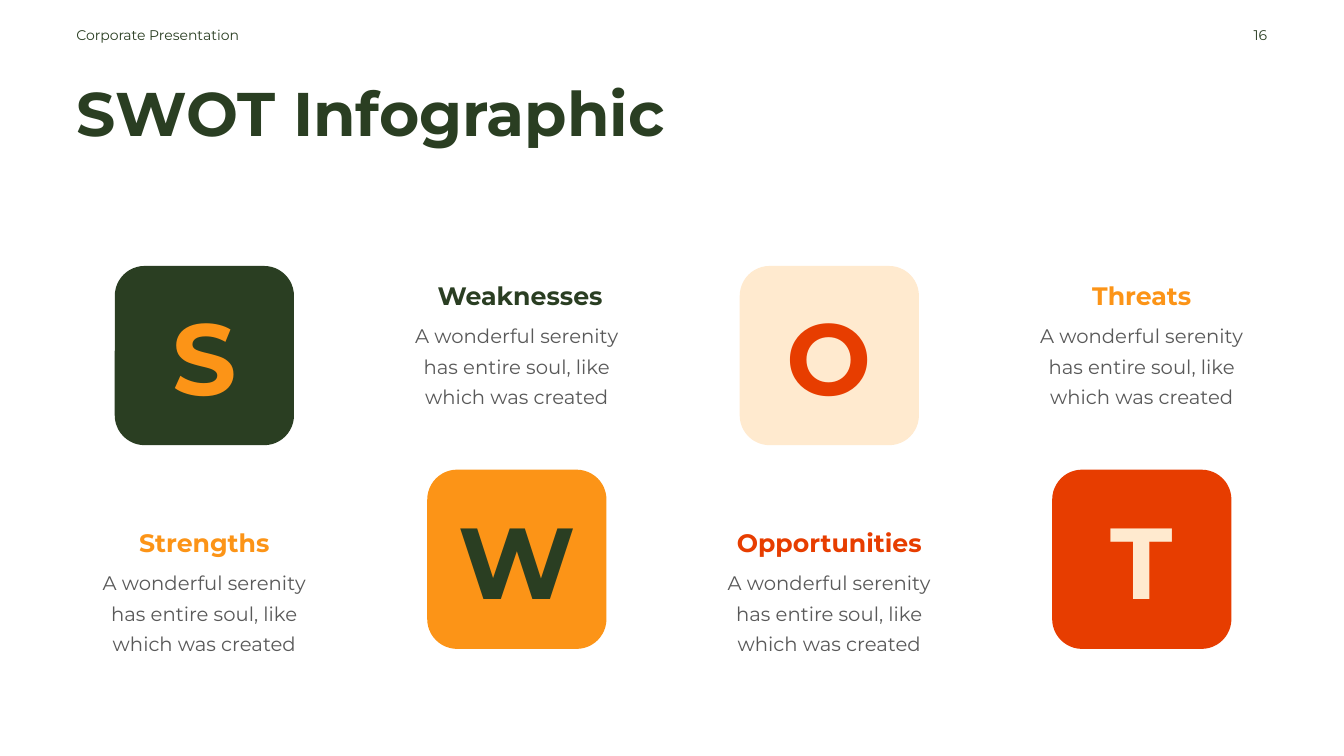
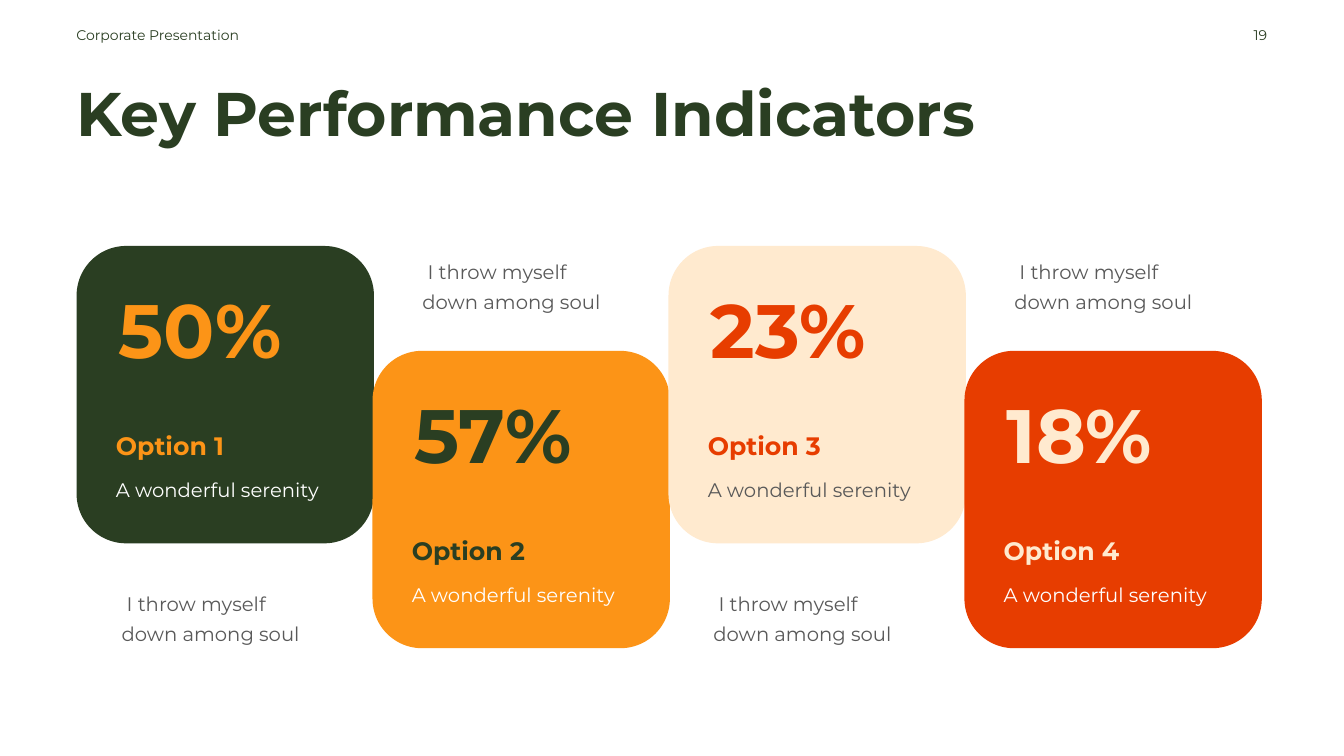
from pptx import Presentation
from pptx.dml.color import RGBColor
from pptx.enum.shapes import MSO_SHAPE
from pptx.enum.text import MSO_ANCHOR, PP_ALIGN
from pptx.util import Pt

ROUND = MSO_SHAPE.ROUNDED_RECTANGLE
TOP, MID = MSO_ANCHOR.TOP, MSO_ANCHOR.MIDDLE
LEFT, MIDST, RIGHT = PP_ALIGN.LEFT, PP_ALIGN.CENTER, PP_ALIGN.RIGHT

GREEN, AMBER, CREAM, RED = "2A3E22", "FC9417", "FFEACF", "E73D00"
GREY, WHITE = "595959", "FFFFFF"
FILLS = (GREEN, AMBER, CREAM, RED)
INKS = (AMBER, GREEN, RED, CREAM)

STYLES = {
    "small": {"size": Pt(10), "bold": False},
    "body": {"size": Pt(14), "bold": False},
    "head": {"size": Pt(18), "bold": True},
    "title": {"size": Pt(44), "bold": True},
    "figure": {"size": Pt(54), "bold": True},
    "letter": {"size": Pt(72), "bold": True},
}
FRAME = {
    "word_wrap": True,
    "margin_left": Pt(7.2),
    "margin_right": Pt(7.2),
    "margin_top": Pt(3.6),
    "margin_bottom": Pt(3.6),
}

EDGE = 47.5
SWOT = (
    ("S", "Strengths", AMBER, 0),
    ("W", "Weaknesses", GREEN, 4.7),
    ("O", "Opportunities", RED, 0),
    ("T", "Threats", AMBER, 0),
)
SWOT_TEXT = "A wonderful serenity has entire soul, like which was created"
KPIS = (
    ("50%", "Option 1", WHITE),
    ("57%", "Option 2", WHITE),
    ("23%", "Option 3", GREY),
    ("18%", "Option 4", WHITE),
)


def paint(color, value):
    """Set a colour format from a hex string."""
    color.rgb = RGBColor.from_string(value)


def write(shape, text, style, ink, align=LEFT, anchor=TOP, lead=0, lines=1.0):
    """Fill a shape with one formatted paragraph."""
    frame = shape.text_frame
    for key, value in FRAME.items():
        setattr(frame, key, value)
    frame.vertical_anchor = anchor
    para = frame.paragraphs[0]
    para.text = text
    para.alignment = align
    para.line_spacing = lines
    if lead:
        para._p.get_or_add_pPr().set("indent", str(Pt(lead)))
    font = para.runs[0].font
    for key, value in STYLES[style].items():
        setattr(font, key, value)
    font.name = "Montserrat"
    paint(font.color, ink)


def label(slide, box, *args, **opts):
    """Add a text box at the given box."""
    write(slide.shapes.add_textbox(*map(Pt, box)), *args, **opts)


def tile(slide, x, y, side, fill):
    """Add a plain rounded square."""
    shape = slide.shapes.add_shape(ROUND, *map(Pt, (x, y, side, side)))
    shape.shadow.inherit = False
    shape.fill.solid()
    paint(shape.fill.fore_color, fill)
    shape.line.fill.background()
    return shape


def start(deck, title, page):
    """Add a slide with its title and running header."""
    slide = deck.slides.add_slide(deck.slide_layouts[5])
    head = slide.shapes.title
    head.left, head.top, head.width, head.height = map(Pt, (EDGE, 49.7, 800, 60.5))
    write(head, title, "title", GREEN)
    label(slide, (EDGE, 15.1, 160, 19.4), "Corporate Presentation", "small", GREEN)
    label(slide, (696.2, 15.1, 216, 19.4), page, "small", GREEN, RIGHT)
    return slide


def quad(slide, mid, low, fill, ink, item):
    """Place one letter tile and its text around a centre line."""
    letter, name, tint, lead = item
    shape = tile(slide, mid - 64, 335.5 if low else 190, 128, fill)
    write(shape, letter, "letter", ink, MIDST, MID)
    x, y, width = mid - 80.65, 190 if low else 366.5, 161.3
    label(slide, (x, y, width, 33), name, "head", tint, MIDST, lead=lead, lines=1.3)
    label(slide, (x, y + 33, width, 71), SWOT_TEXT, "body", GREY, MIDST, lines=1.3)


def card(slide, x, low, fill, ink, item):
    """Place one indicator card and the note beside it."""
    figure, name, tint = item
    y = 250.6 if low else 175.7
    tile(slide, x, y, 212.4, fill)
    label(slide, (x + 23, y + 23, 181, 73), figure, "figure", ink)
    label(slide, (x + 21, y + 128, 166, 29), name, "head", ink)
    label(slide, (x + 21, y + 157, 166, 27), "A wonderful serenity", "body", tint, lines=1.3)
    note = (x + 28.5, 177) if low else (x + 25, 414)
    label(slide, (*note, 156, 50), "I throw myself down among soul", "body", GREY, lead=3.7, lines=1.3)


def spread(slide, draw, first, pitch, items):
    """Draw four items in a row, every second one low."""
    for i, item in enumerate(items):
        draw(slide, first + i * pitch, i % 2, FILLS[i], INKS[i], item)


def main():
    """Build and save the deck."""
    deck = Presentation()
    deck.slide_width, deck.slide_height = Pt(960), Pt(540)
    spread(start(deck, "SWOT Infographic", "16"), quad, 146, 223.2, SWOT)
    spread(start(deck, "Key Performance Indicators", "19"), card, 54.7, 211.4, KPIS)
    deck.save("out.pptx")


if __name__ == "__main__":
    main()
